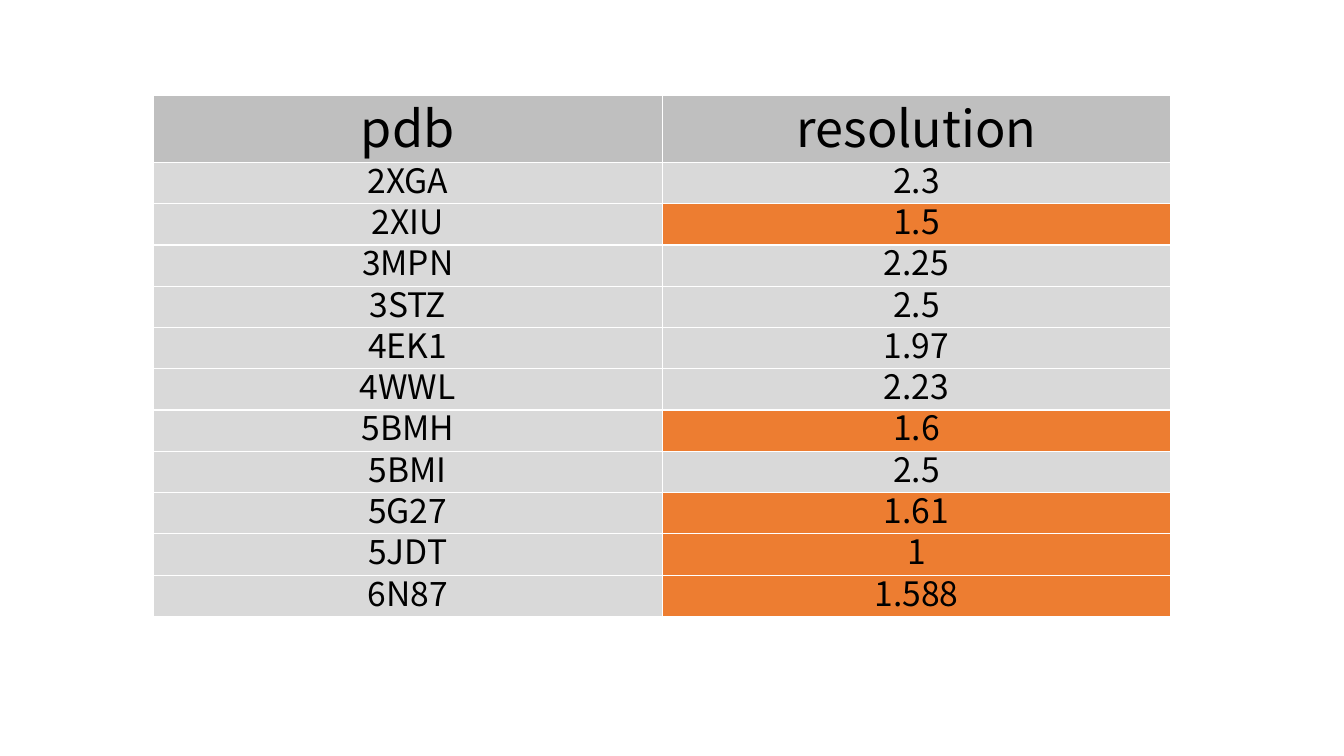
from dataclasses import dataclass

from lxml.etree import SubElement
from pptx import Presentation
from pptx.dml.color import RGBColor
from pptx.enum.text import MSO_ANCHOR, PP_ALIGN
from pptx.oxml.ns import qn
from pptx.util import Pt

FONT = "Noto Sans CJK SC"
BLACK, WHITE = "000000", "FFFFFF"
HEADER_GRAY, BODY_GRAY, ORANGE = "BFBFBF", "D9D9D9", "ED7D31"
BEST_RESOLUTION = 1.9  # finer values are highlighted
TABLE_LEFT, TABLE_TOP, COLUMN_WIDTH = 109.5, 68, 363.5
INSET = 0.7


@dataclass(frozen=True)
class RowStyle:
    height: float
    font_size: float
    line_spacing: float
    fill: str


HEADER = RowStyle(48, 36, 46, HEADER_GRAY)
BODY = RowStyle(29.5, 24, 28, BODY_GRAY)

COLUMN_NAMES = ("pdb", "resolution")
STRUCTURES = [
    ("2XGA", "2.3"),
    ("2XIU", "1.5"),
    ("3MPN", "2.25"),
    ("3STZ", "2.5"),
    ("4EK1", "1.97"),
    ("4WWL", "2.23"),
    ("5BMH", "1.6"),
    ("5BMI", "2.5"),
    ("5G27", "1.61"),
    ("5JDT", "1"),
    ("6N87", "1.588"),
]


def color(value: str) -> RGBColor:
    return RGBColor.from_string(value)


def add_borders(cell) -> None:
    properties = cell._tc.get_or_add_tcPr()
    for side in ("L", "R", "T", "B"):
        line = SubElement(properties, qn(f"a:ln{side}"), w=str(Pt(1)))
        fill = SubElement(line, qn("a:solidFill"))
        SubElement(fill, qn("a:srgbClr"), val=WHITE)


def fill_cell(cell, text: str, style: RowStyle, fill: str) -> None:
    add_borders(cell)
    cell.fill.solid()
    cell.fill.fore_color.rgb = color(fill)
    cell.vertical_anchor = MSO_ANCHOR.MIDDLE
    cell.margin_left = cell.margin_right = cell.margin_top = Pt(INSET)
    cell.margin_bottom = Pt(0)

    paragraph = cell.text_frame.paragraphs[0]
    paragraph.alignment = PP_ALIGN.CENTER
    paragraph.line_spacing = Pt(style.line_spacing)
    run = paragraph.add_run()
    run.text = text
    run.font.name = FONT
    run.font.size = Pt(style.font_size)
    run.font.bold = False
    run.font.color.rgb = color(BLACK)


def add_resolution_table(slide) -> None:
    rows = [(HEADER, COLUMN_NAMES)] + [(BODY, values) for values in STRUCTURES]
    columns = len(COLUMN_NAMES)
    height = sum(style.height for style, _ in rows)
    table = slide.shapes.add_table(
        len(rows), columns, Pt(TABLE_LEFT), Pt(TABLE_TOP),
        Pt(columns * COLUMN_WIDTH), Pt(height),
    ).table
    table.horz_banding = False
    for column in table.columns:
        column.width = Pt(COLUMN_WIDTH)

    for row, (style, (name, resolution)) in zip(table.rows, rows):
        row.height = Pt(style.height)
        highlighted = style is BODY and float(resolution) < BEST_RESOLUTION
        fill_cell(row.cells[0], name, style, style.fill)
        fill_cell(row.cells[1], resolution, style, ORANGE if highlighted else style.fill)


def main() -> None:
    presentation = Presentation()
    presentation.slide_width, presentation.slide_height = Pt(960), Pt(540)
    # Blank layout: the slide holds only the table
    slide = presentation.slides.add_slide(presentation.slide_layouts[6])
    add_resolution_table(slide)
    presentation.save("out.pptx")


if __name__ == "__main__":
    main()
